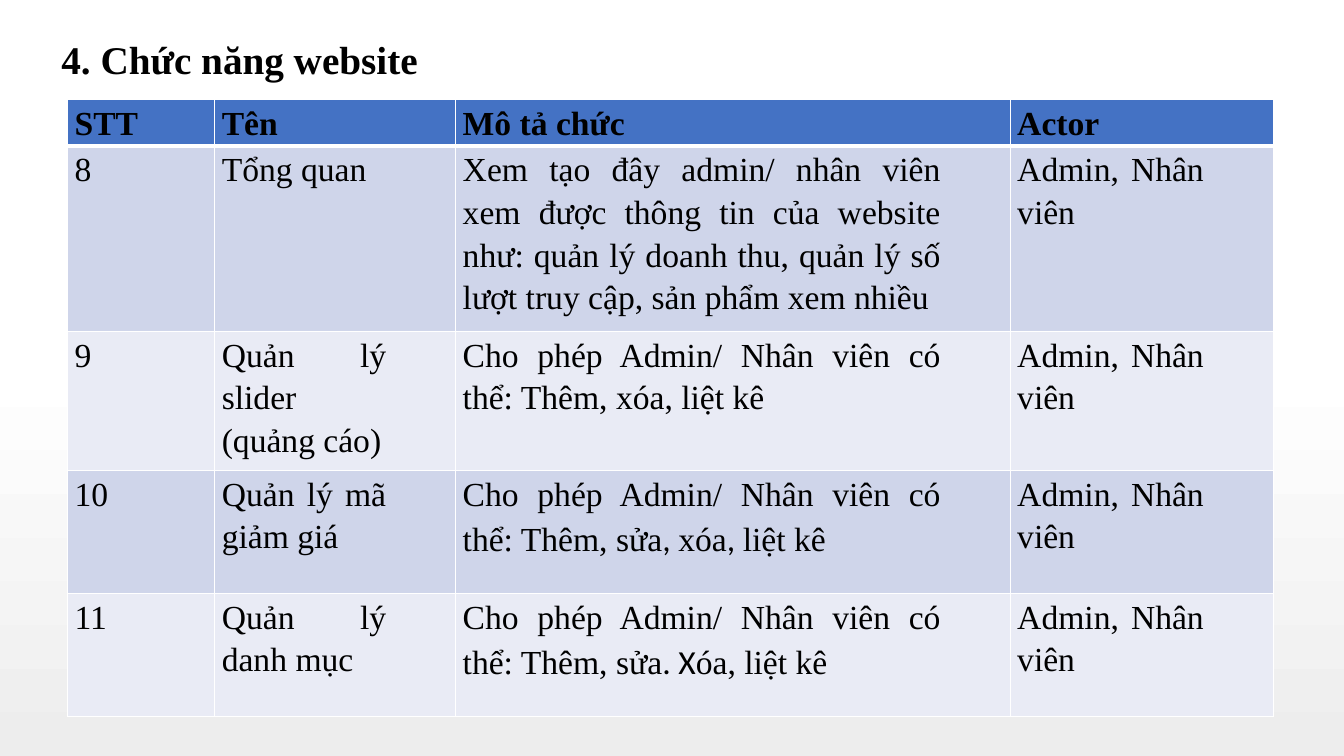
from lxml import etree
from pptx import Presentation, util as u
from pptx.dml import color
from pptx.enum import text
from pptx.oxml import ns

COLOURS = {
    "ink": "000000",
    "white": "FFFFFF",
    "mist": "EDEDED",
    "header": "4472C4",
    "odd": "CFD5EA",
    "even": "E9EBF5",
}
STAFF = "Admin, Nhân viên"
# Pieces between bars are set in the secondary font.
FUNCTIONS = [
    ("STT", "Tên", "Mô tả chức", "Actor"),
    ("8", "Tổng quan",
     "Xem tạo đây admin/ nhân viên xem được thông tin của website như: "
     "quản lý doanh thu, quản lý số lượt truy cập, sản phẩm xem nhiều", STAFF),
    ("9", "Quản lý slider (quảng cáo)",
     "Cho phép Admin/ Nhân viên có thể: Thêm, xóa, liệt kê", STAFF),
    ("10", "Quản lý mã giảm giá",
     "Cho phép Admin/ Nhân viên có thể: Thêm, sửa|, |xóa|, |liệt kê", STAFF),
    ("11", "Quản lý danh mục",
     "Cho phép Admin/ Nhân viên có thể: Thêm, sửa|. X|óa, liệt kê", STAFF),
]


def rgb(name):
    return color.RGBColor.from_string(COLOURS[name])


class SlideBuilder:
    """Places styled elements; lengths are percentages of the slide's size."""

    font, second_font = "Times New Roman", "Calibri"

    def __init__(self, deck):
        self.deck = deck
        self.page = deck.slides.add_slide(deck.slide_layouts[6])

    def across(self, share):
        return u.Emu(round(self.deck.slide_width * share / 100))

    def down(self, share):
        return u.Emu(round(self.deck.slide_height * share / 100))

    def frame(self, left, top, width, height):
        return self.across(left), self.down(top), self.across(width), self.down(height)

    def background(self, top, bottom, start):
        fill = self.page.background.fill
        fill.gradient()
        fill.gradient_angle = 270
        for stop, name, position in zip(fill.gradient_stops, (top, bottom), (start, 1)):
            stop.color.rgb = rgb(name)
            stop.position = position

    def style(self, span, size, bold, font=None):
        span.font.name = font or self.font
        span.font.size = u.Pt(size)
        span.font.bold = bold
        span.font.color.rgb = rgb("ink")

    def title(self, words, *place):
        box = self.page.shapes.add_textbox(*self.frame(*place))
        box.text_frame.word_wrap = True
        box.text_frame.text = words
        self.style(box.text_frame.paragraphs[0].runs[0], 28, True)

    def table(self, rows, left, top, widths, heights):
        place = self.frame(left, top, sum(widths), sum(heights))
        table = self.page.shapes.add_table(len(rows), len(widths), *place).table
        for column, width in zip(table.columns, widths):
            column.width = self.across(width)
        for row, height in zip(table.rows, heights):
            row.height = self.down(height)
        for i, row in enumerate(rows):
            for j, words in enumerate(row):
                self.cell(table.cell(i, j), words, i, j)

    def cell(self, cell, words, row, column):
        header = row == 0
        cell.margin_left = u.Inches(0.07)
        cell.margin_right = u.Inches(0.69)
        cell.margin_top = cell.margin_bottom = 0
        cell.fill.solid()
        cell.fill.fore_color.rgb = rgb("header" if header else "odd" if row % 2 else "even")
        self.borders(cell, top=3 if row == 1 else 1, bottom=3 if header else 1)
        para = cell.text_frame.paragraphs[0]
        if header or column:
            para.alignment = text.PP_ALIGN.JUSTIFY
        para.line_spacing = 1.15
        para.space_before, para.space_after = u.Pt(1.8), u.Pt(10)
        for i, piece in enumerate(words.split("|")):
            span = para.add_run()
            span.text = piece
            self.style(span, 24, header, self.second_font if i % 2 else None)

    def borders(self, cell, top, bottom):
        properties = cell._tc.get_or_add_tcPr()
        sides = {"L": 1, "R": 1, "T": top, "B": bottom}
        for i, (side, points) in enumerate(sides.items()):
            line = etree.Element(ns.qn(f"a:ln{side}"), w=str(u.Pt(points)))
            fill = etree.SubElement(line, ns.qn("a:solidFill"))
            etree.SubElement(fill, ns.qn("a:srgbClr"), val=COLOURS["white"])
            properties.insert(i, line)


def main():
    deck = Presentation()
    deck.slide_width, deck.slide_height = u.Inches(13.33), u.Inches(7.5)
    slide = SlideBuilder(deck)
    slide.background("white", "mist", 0.48)
    slide.title("4. Chức năng website", 3.83, 4, 73.07, 7.6)
    slide.table(FUNCTIONS, 5.03, 13.2,
                widths=[10.95, 17.93, 41.26, 19.58],
                heights=[5.2] + [16.27] * 4)
    deck.save("out.pptx")


if __name__ == "__main__":
    main()
